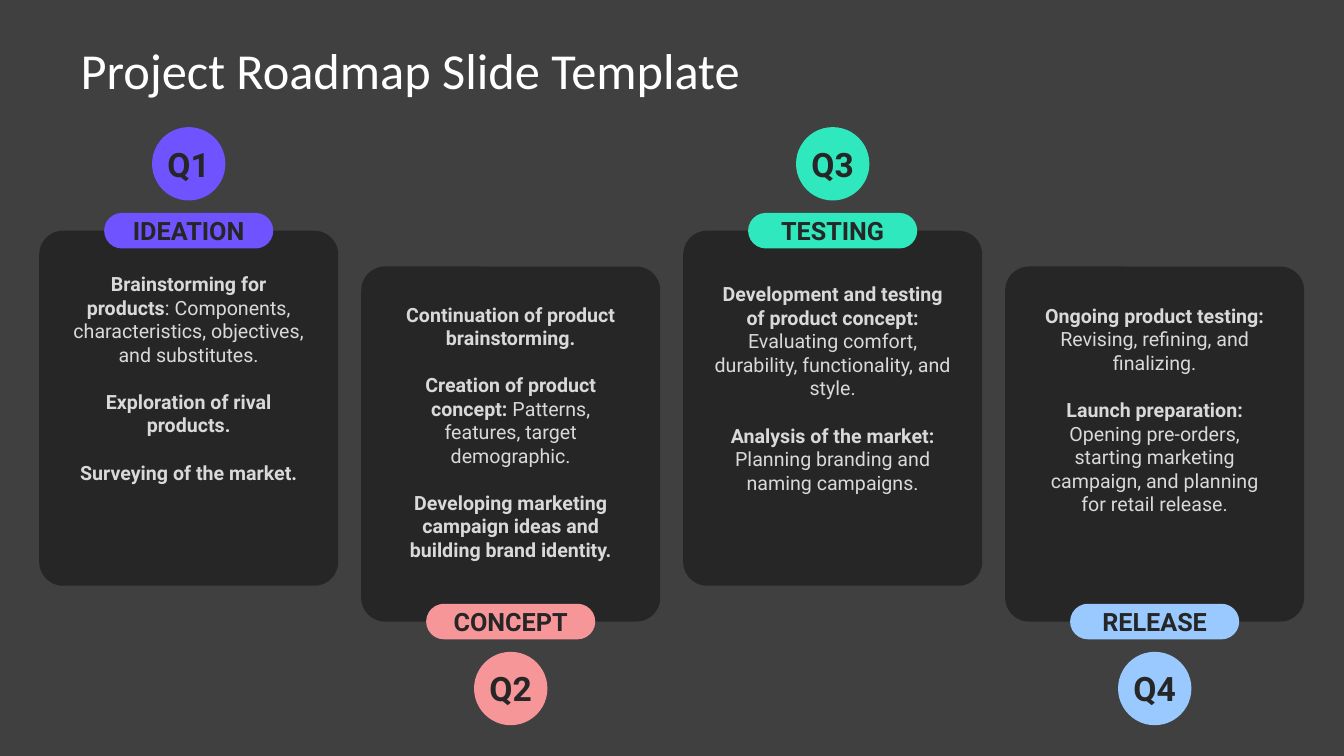
from pptx import Presentation
from pptx.dml.color import RGBColor
from pptx.enum.shapes import MSO_SHAPE as Form
from pptx.enum.text import MSO_ANCHOR as Anchor, PP_ALIGN as Align
from pptx.util import Pt

BACK, DARK, PALE, WHITE = "404040", "262626", "D9D9D9", "FFFFFF"


def tint(code):
    return RGBColor.from_string(code)


class Board:
    """Holds the style and the current slide."""
    face = "Roboto"
    head_face = "Calibri"

    def __init__(self, deck):
        self.slide = deck.slides.add_slide(deck.slide_layouts[6])
        fill = self.slide.background.fill
        fill.solid()
        fill.fore_color.rgb = tint(BACK)

    def frame(self, shape, anchor, side=0, edge=0):
        frame = shape.text_frame
        frame.word_wrap = True
        frame.vertical_anchor = anchor
        frame.margin_left = frame.margin_right = Pt(side)
        frame.margin_top = frame.margin_bottom = Pt(edge)
        return frame

    def style(self, run, size, color, bold=False, face=None):
        run.font.name = face or self.face
        run.font.size = Pt(size)
        run.font.bold = bold
        run.font.color.rgb = tint(color)

    def title(self, text, left, top, width, height):
        box = self.slide.shapes.add_textbox(Pt(left), Pt(top), Pt(width), Pt(height))
        frame = self.frame(box, Anchor.MIDDLE, 9.6, 4.8)
        frame.text = text
        self.style(frame.paragraphs[0].runs[0], 36, WHITE, face=self.head_face)

    def block(self, form, left, top, width, height, color, curve=None):
        shape = self.slide.shapes.add_shape(form, Pt(left), Pt(top), Pt(width), Pt(height))
        shape.shadow.inherit = False
        shape.fill.solid()
        shape.fill.fore_color.rgb = tint(color)
        shape.line.fill.background()
        if curve is not None:
            shape.adjustments[0] = curve
        return shape

    def label(self, shape, text, size):
        frame = self.frame(shape, Anchor.MIDDLE)
        frame.text = text
        line = frame.paragraphs[0]
        line.alignment = Align.CENTER
        self.style(line.runs[0], size, DARK, bold=True)

    def notes(self, items, left, top, width, height):
        box = self.slide.shapes.add_textbox(Pt(left), Pt(top), Pt(width), Pt(height))
        frame = self.frame(box, Anchor.TOP)
        for i, (lead, rest) in enumerate(items):
            line = frame.add_paragraph() if i else frame.paragraphs[0]
            line.alignment = Align.CENTER
            if i:
                line.space_before = Pt(16.8)
            for text, bold in ((lead, True), (rest, False)):
                if text:
                    run = line.add_run()
                    run.text = text
                    self.style(run, 14, PALE, bold)


# Quarter, stage, colour, top and height of the notes, notes as (bold, plain)
STAGES = [
    ("Q1", "IDEATION", "6F53FE", 194.4, 152.6, [
        ("Brainstorming for products",
         ": Components, characteristics, objectives, and substitutes."),
        ("Exploration of rival products.", ""),
        ("Surveying of the market.", "")]),
    ("Q2", "CONCEPT", "F79699", 216, 193.8, [
        ("Continuation of product brainstorming.", ""),
        ("Creation of product concept:", " Patterns, features, target demographic."),
        ("Developing marketing campaign ideas and building brand identity.", "")]),
    ("Q3", "TESTING", "2FE8BD", 201.6, 152.6, [
        ("Development and testing of product concept: ",
         "Evaluating comfort, durability, functionality, and style."),
        ("Analysis of the market: ", "Planning branding and naming campaigns.")]),
    ("Q4", "RELEASE", "99C9FF", 217, 152.6, [
        ("Ongoing product testing: ", "Revising, refining, and finalizing."),
        ("Launch preparation: ",
         "Opening pre-orders, starting marketing campaign, and planning for retail release.")]),
]

LEFT, STEP = 28, 230
CARD_W, CARD_H = 213.6, 253.6
PILL_W, PILL_H = 120.8, 25.4
DISC = 52.4
NOTE_W = 169.2


def main():
    deck = Presentation()
    deck.slide_width, deck.slide_height = Pt(960), Pt(540)
    board = Board(deck)
    board.title("Project Roadmap Slide Template", 48, 21.6, 864, 56)

    for i, (quarter, stage, color, top, height, items) in enumerate(STAGES):
        mid = LEFT + i * STEP + CARD_W / 2
        # Odd quarters carry their badge above the card, even ones below
        low = i % 2 == 1
        card_y = 190.4 if low else 164.8
        pill_y = (card_y + CARD_H if low else card_y) - PILL_H / 2
        disc_y = 465.6 if low else 90.8

        # Card, stage pill and quarter disc
        board.block(Form.ROUNDED_RECTANGLE, mid - CARD_W / 2, card_y,
                    CARD_W, CARD_H, DARK, 0.08)
        pill = board.block(Form.ROUNDED_RECTANGLE, mid - PILL_W / 2, pill_y,
                           PILL_W, PILL_H, color, 0.5)
        board.label(pill, stage, 18)
        disc = board.block(Form.OVAL, mid - DISC / 2, disc_y, DISC, DISC, color)
        board.label(disc, quarter, 24)

        # Notes on the card
        board.notes(items, mid - NOTE_W / 2, top, NOTE_W, height)

    deck.save("out.pptx")


if __name__ == "__main__":
    main()
